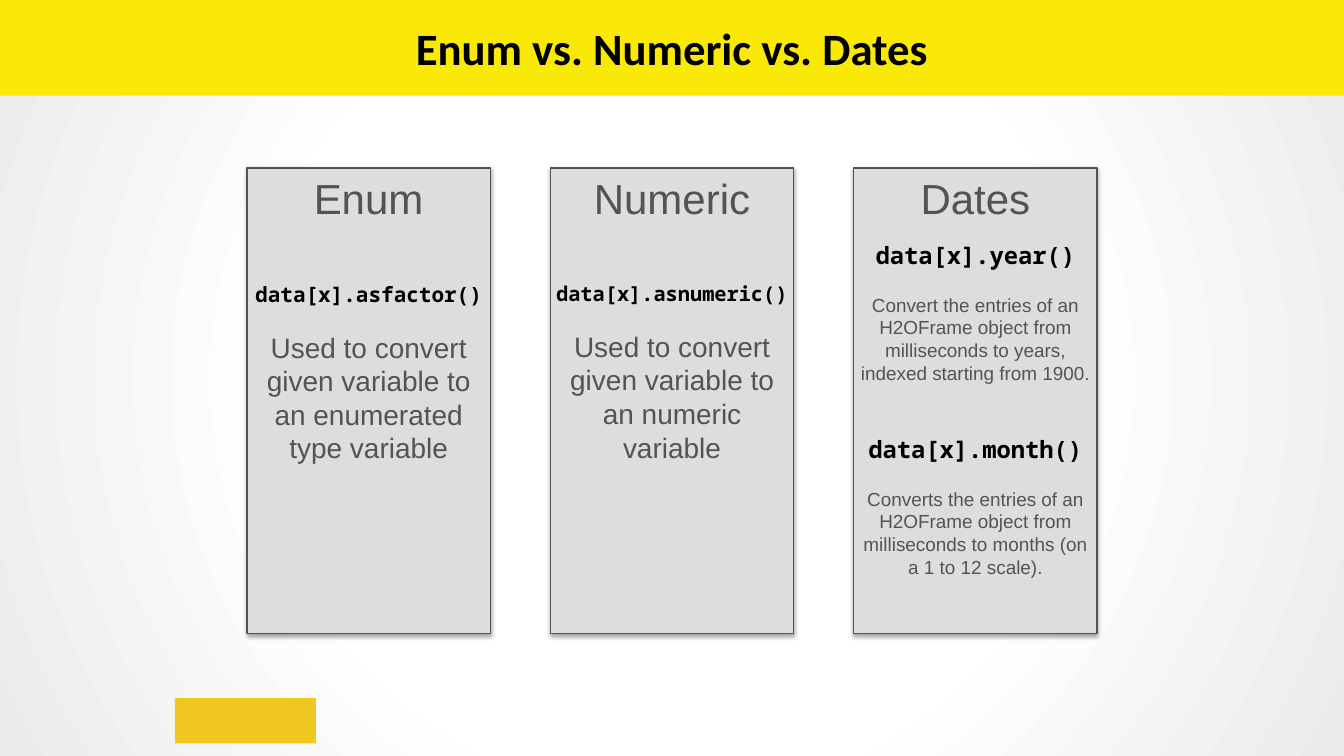
from dataclasses import dataclass

import pptx
import pptx.dml.color
import pptx.enum.shapes
import pptx.enum.text
import pptx.oxml
import pptx.oxml.ns
import pptx.util

Inches = pptx.util.Inches
Pt = pptx.util.Pt
PP_ALIGN = pptx.enum.text.PP_ALIGN
MSO_ANCHOR = pptx.enum.text.MSO_ANCHOR


@dataclass(frozen=True)
class Theme:
    black: str = "000000"
    text: str = "535353"
    panel: str = "DDDDDD"
    bar: str = "FAE807"
    gold: str = "EFC71F"
    glow: str = "FFFFFF"
    edge: str = "EBEBEB"
    title_font: str = "Calibri"
    body_font: str = "Arial"
    code_font: str = "Noto Sans Mono"
    title_size: int = 64
    heading_size: int = 60
    body_size: int = 40
    small_size: int = 27
    gap: int = 34


THEME = Theme()
PANEL_LEFT, PANEL_TOP, PANEL_STEP = 4.9, 3.33, 6.02
PANEL_W, PANEL_H = 4.83, 9.24

# Heading, then blocks of (top, code, code size, description, description size)
COLUMNS = [
    ("Enum", [(5.48, "data[x].asfactor()", 30,
               "Used to convert given variable to an enumerated type variable",
               THEME.body_size)]),
    ("Numeric", [(5.48, "data[x].asnumeric()", 29,
                  "Used to convert given variable to an numeric variable",
                  THEME.body_size)]),
    ("Dates", [(4.68, "data[x].year()", 34,
                "Convert the entries of an H2OFrame object from milliseconds "
                "to years, indexed starting from 1900.", THEME.small_size),
               (8.53, "data[x].month()", 34,
                "Converts the entries of an H2OFrame object from milliseconds "
                "to months (on a 1 to 12 scale).", THEME.small_size)]),
]


def rgb(color):
    return pptx.dml.color.RGBColor.from_string(color)


def set_background(s):
    """Radial gradient, white at the centre and grey at the edges."""
    s.background.fill.gradient()
    grad = next(s._element.iter(pptx.oxml.ns.qn("a:gradFill")))
    for child in list(grad):
        grad.remove(child)
    stops = "".join(
        f'<a:gs pos="{pos}"><a:srgbClr val="{color}"/></a:gs>'
        for pos, color in [(0, THEME.glow), (50000, THEME.glow), (100000, THEME.edge)])
    new = pptx.oxml.parse_xml(
        f'<a:gradFill {pptx.oxml.ns.nsdecls("a")}><a:gsLst>{stops}</a:gsLst>'
        '<a:path path="circle"><a:fillToRect l="50000" t="50000" r="50000" b="50000"/>'
        '</a:path></a:gradFill>')
    grad.extend(list(new))


def add_rect(s, x, y, w, h, fill):
    sp = s.shapes.add_shape(pptx.enum.shapes.MSO_SHAPE.RECTANGLE,
                            Inches(x), Inches(y), Inches(w), Inches(h))
    sp.shadow.inherit = False
    sp.fill.solid()
    sp.fill.fore_color.rgb = rgb(fill)
    sp.line.fill.background()
    return sp


def add_panel(s, x):
    sp = add_rect(s, x, PANEL_TOP, PANEL_W, PANEL_H, THEME.panel)
    sp.line.color.rgb = rgb(THEME.text)
    sp.line.width = Pt(2)
    effects = sp._element.spPr.find(pptx.oxml.ns.qn("a:effectLst"))
    effects.append(pptx.oxml.parse_xml(
        f'<a:outerShdw {pptx.oxml.ns.nsdecls("a")} blurRad="{Pt(6)}" dist="{Pt(3)}" '
        f'dir="5400000" rotWithShape="0"><a:srgbClr val="{THEME.black}">'
        '<a:alpha val="35000"/></a:srgbClr></a:outerShdw>'))


def add_text_frame(s, x, y, w, h, anchor=MSO_ANCHOR.TOP):
    tf = s.shapes.add_textbox(Inches(x), Inches(y), Inches(w), Inches(h)).text_frame
    tf.word_wrap = True
    tf.vertical_anchor = anchor
    tf.margin_left = tf.margin_right = tf.margin_top = tf.margin_bottom = Inches(0.1)
    return tf


def write_centred(p, text, name, size, color, bold=False):
    p.text = text
    p.alignment = PP_ALIGN.CENTER
    p.font.name, p.font.size, p.font.bold = name, Pt(size), bold
    p.font.color.rgb = rgb(color)


def add_block(s, x, y, code, code_size, description, size):
    """A line of code with its description below."""
    tf = add_text_frame(s, x, y, PANEL_W, 3.98)
    write_centred(tf.paragraphs[0], code, THEME.code_font, code_size, THEME.black, True)
    p = tf.add_paragraph()
    write_centred(p, description, THEME.body_font, size, THEME.text)
    p.space_before = Pt(THEME.gap)


def add_column(s, x, heading, blocks):
    add_panel(s, x)
    tf = add_text_frame(s, x, PANEL_TOP, PANEL_W, 1.2)
    write_centred(tf.paragraphs[0], heading, THEME.body_font,
                  THEME.heading_size, THEME.text)
    for block in blocks:
        add_block(s, x, *block)


def add_title(s, text):
    add_rect(s, 0, 0, 26.67, 1.9, THEME.bar)
    tf = add_text_frame(s, 4.33, 0, 18, 1.9, MSO_ANCHOR.MIDDLE)
    write_centred(tf.paragraphs[0], text, THEME.title_font,
                  THEME.title_size, THEME.black, True)


def add_footer_block(s):
    add_rect(s, 3.47, 13.85, 2.8, 0.9, THEME.gold)


def main():
    prs = pptx.Presentation()
    prs.slide_width, prs.slide_height = Inches(26.67), Inches(15)
    s = prs.slides.add_slide(prs.slide_layouts[6])
    set_background(s)
    add_footer_block(s)
    add_title(s, "Enum vs. Numeric vs. Dates")
    for i, (heading, blocks) in enumerate(COLUMNS):
        add_column(s, PANEL_LEFT + i * PANEL_STEP, heading, blocks)
    prs.save("out.pptx")


if __name__ == "__main__":
    main()
